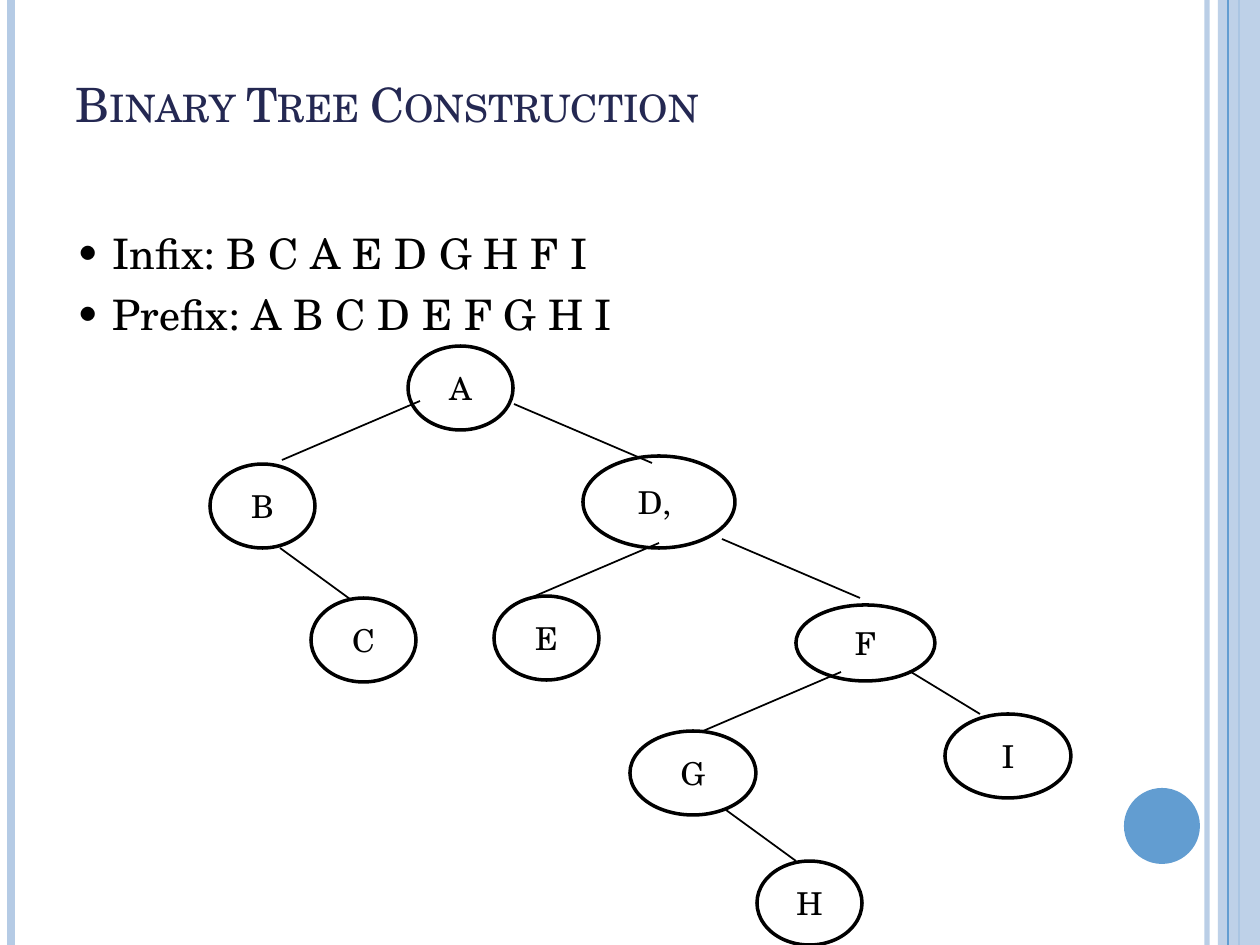
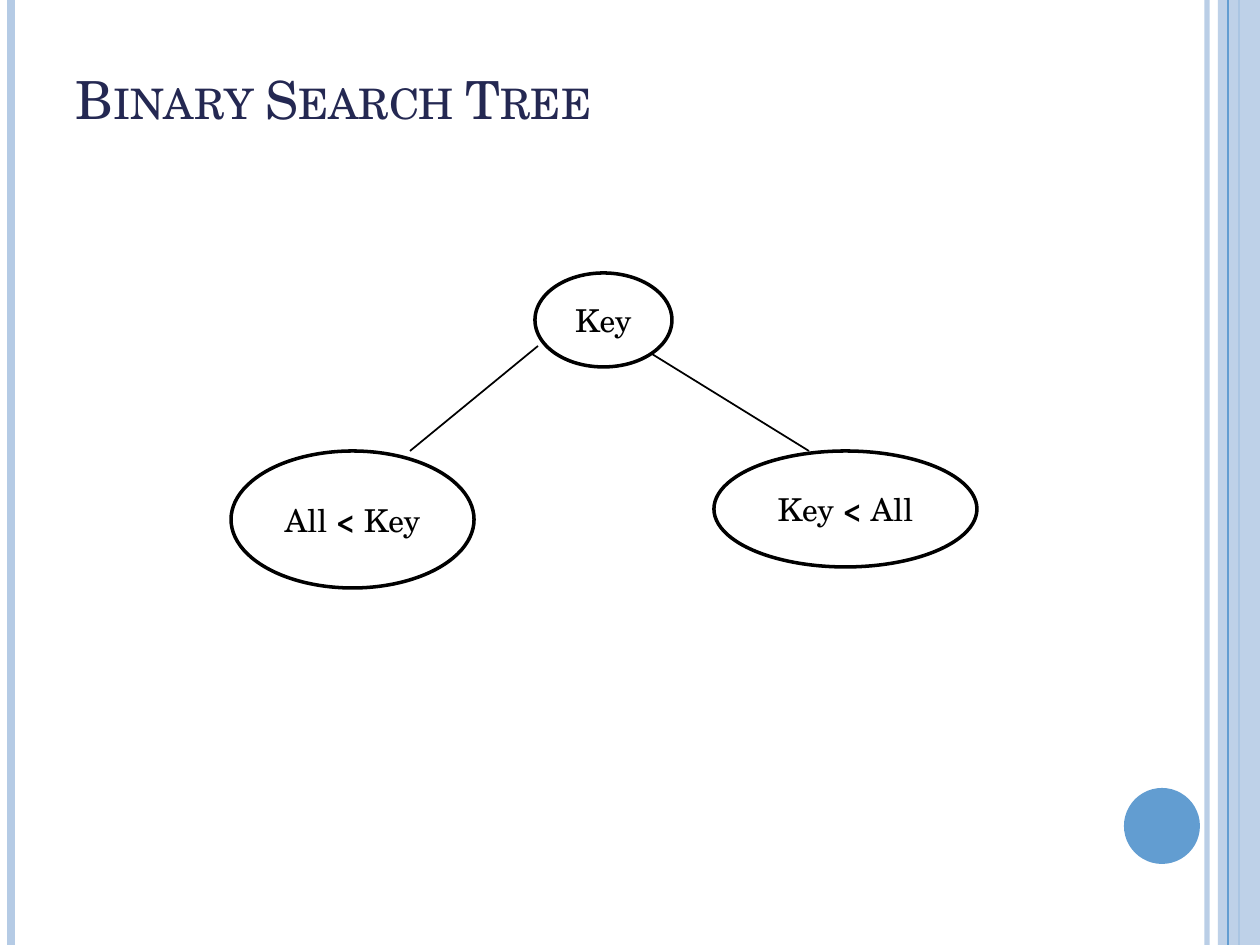
from lxml.etree import SubElement
from pptx import Presentation
from pptx.dml.color import RGBColor
from pptx.enum.shapes import MSO_CONNECTOR as Connector, MSO_SHAPE as Shape
from pptx.enum.text import MSO_ANCHOR as Anchor, MSO_AUTO_SIZE as AutoSize, PP_ALIGN as Align
from pptx.oxml.ns import qn
from pptx.util import Emu, Pt

# Shared style
FONT = "TeX Gyre Schola"
BLACK = RGBColor(0x00, 0x00, 0x00)
WHITE = RGBColor(0xFF, 0xFF, 0xFF)
NAVY = RGBColor(0x24, 0x28, 0x52)
PALE_BLUE = RGBColor(0xB5, 0xCB, 0xE5)
BLUE = RGBColor(0x62, 0x9D, 0xD1)

WIDTH, HEIGHT = 1260, 945
PX_PER_INCH = 126
TITLE_AND_BODY, TITLE_ONLY = 1, 5
TEXT_LEFT, TEXT_WIDTH = 63, 1029
BULLET_INDENT = 37

# Usual node size and edge spans
NODE = (105, 84)
BROAD_NODE = (126, 84)
WIDE = (138, 59)
STEEP = (70, 51)


def px(length):
    return Emu(round(length * 914400 / PX_PER_INCH))


class Deck:
    def __init__(self):
        self.presentation = Presentation()
        self.presentation.slide_width = px(WIDTH)
        self.presentation.slide_height = px(HEIGHT)
        self.slide = None

    def add_slide(self, layout):
        layouts = self.presentation.slide_layouts
        self.slide = self.presentation.slides.add_slide(layouts[layout])
        self.side_bands()

    def side_bands(self):
        self.vertical_rule(1207, PALE_BLUE, 3, opacity=93)
        self.vertical_rule(11, PALE_BLUE, 4.5)
        self.vertical_rule(1239, BLUE, 1.5)
        band = self.shape(Shape.RECTANGLE, (1218, 0, 42, HEIGHT), PALE_BLUE)
        self.set_opacity(band, 87)
        self.vertical_rule(1228, BLUE, 0.75)
        self.shape(Shape.OVAL, (1124, 788, 76, 76), BLUE)

    def set_opacity(self, shape, percent):
        color = shape._element.spPr.find(".//" + qn("a:srgbClr"))
        SubElement(color, qn("a:alpha")).set("val", str(percent * 1000))

    def shape(self, kind, box, fill):
        shape = self.slide.shapes.add_shape(kind, *map(px, box))
        shape.shadow.inherit = False
        shape.fill.solid()
        shape.fill.fore_color.rgb = fill
        shape.line.fill.background()
        return shape

    def line(self, start, end, color=BLACK, weight=1):
        ends = map(px, (*start, *end))
        line = self.slide.shapes.add_connector(Connector.STRAIGHT, *ends)
        line.line.color.rgb = color
        line.line.width = Pt(weight)
        SubElement(line._element.spPr, qn("a:effectLst"))
        return line

    def vertical_rule(self, x, color, weight, opacity=100):
        rule = self.line((x, 0), (x, HEIGHT), color, weight)
        if opacity < 100:
            self.set_opacity(rule, opacity)

    def run(self, paragraph, text, size, color=BLACK, bold=False):
        run = paragraph.add_run()
        run.text = text
        run.font.name = FONT
        run.font.size = Pt(size)
        run.font.bold = bold
        run.font.color.rgb = color
        return run

    def place(self, placeholder, top, height, anchor):
        placeholder.left, placeholder.top = px(TEXT_LEFT), px(top)
        placeholder.width, placeholder.height = px(TEXT_WIDTH), px(height)
        frame = placeholder.text_frame
        frame.auto_size = AutoSize.NONE
        frame.word_wrap = True
        frame.vertical_anchor = anchor
        return frame

    def title(self, text, size, height, bottom_margin=6):
        frame = self.place(self.slide.shapes.title, 38, height, Anchor.BOTTOM)
        frame.margin_bottom = px(bottom_margin)
        paragraph = frame.paragraphs[0]
        paragraph.alignment = Align.LEFT
        run = self.run(paragraph, text, size, NAVY)
        run.font._element.set("cap", "small")

    def bullets(self, items):
        frame = self.place(self.slide.placeholders[1], 221, 672, Anchor.TOP)
        for index, item in enumerate(items):
            paragraph = frame.add_paragraph() if index else frame.paragraphs[0]
            properties = paragraph._element.get_or_add_pPr()
            properties.set("marL", str(px(BULLET_INDENT)))
            properties.set("indent", str(-px(BULLET_INDENT)))
            SubElement(properties, qn("a:buFont")).set("typeface", FONT)
            SubElement(properties, qn("a:buChar")).set("char", "•")
            paragraph.space_before = Pt(6 if index else 0)
            self.run(paragraph, item, 24)

    def node(self, label, left, top, size=NODE):
        """Draw an oval; label is a list of runs, with "<" set in bold."""
        oval = self.shape(Shape.OVAL, (left, top, *size), WHITE)
        oval.line.color.rgb = BLACK
        oval.line.width = Pt(2)
        frame = oval.text_frame
        frame.word_wrap = True
        frame.vertical_anchor = Anchor.MIDDLE
        paragraph = frame.paragraphs[0]
        paragraph.alignment = Align.CENTER
        for text in label:
            self.run(paragraph, text, 18, bold=text == "<")

    def edge(self, x, y, side, span):
        """Run down from a parent; side is -1 for left, 1 for right."""
        across, down = span
        self.line((x, y), (x + side * across, y + down))


def tree_construction(deck):
    deck.add_slide(TITLE_AND_BODY)
    deck.title("Binary Tree Construction", 27, height=157, bottom_margin=63)
    deck.bullets(["Infix: B C A E D G H F I", "Prefix: A B C D E F G H I"])

    # Nodes
    for label, left, top, size in (
        ("A", 408, 346, NODE),
        ("B", 210, 464, NODE),
        ("C", 311, 598, NODE),
        ("D, ", 583, 456, (152, 92)),
        ("E", 494, 596, NODE),
        ("F", 796, 605, (139, 76)),
        ("G", 630, 731, BROAD_NODE),
        ("I", 945, 714, BROAD_NODE),
        ("H", 757, 861, NODE),
    ):
        deck.node([label], left, top, size)

    # Edges
    for x, y, side, span in (
        (420, 401, -1, WIDE),
        (514, 404, 1, WIDE),
        (280, 548, 1, STEEP),
        (659, 543, -1, WIDE),
        (722, 539, 1, WIDE),
        (841, 672, -1, WIDE),
        (911, 672, 1, (69, 42)),
        (726, 810, 1, STEEP),
    ):
        deck.edge(x, y, side, span)


def search_tree(deck):
    deck.add_slide(TITLE_ONLY)
    deck.title("Binary Search Tree", 30, height=98)
    deck.node(["Key"], 535, 273, (137, 94))
    deck.node(["All ", "<", " Key"], 231, 451, (243, 137))
    deck.node(["Key ", "<", " All"], 714, 451, (263, 116))
    deck.edge(652, 354, 1, (157, 97))
    deck.edge(538, 346, -1, (128, 105))


def main():
    deck = Deck()
    tree_construction(deck)
    search_tree(deck)
    deck.presentation.save("out.pptx")


if __name__ == "__main__":
    main()
